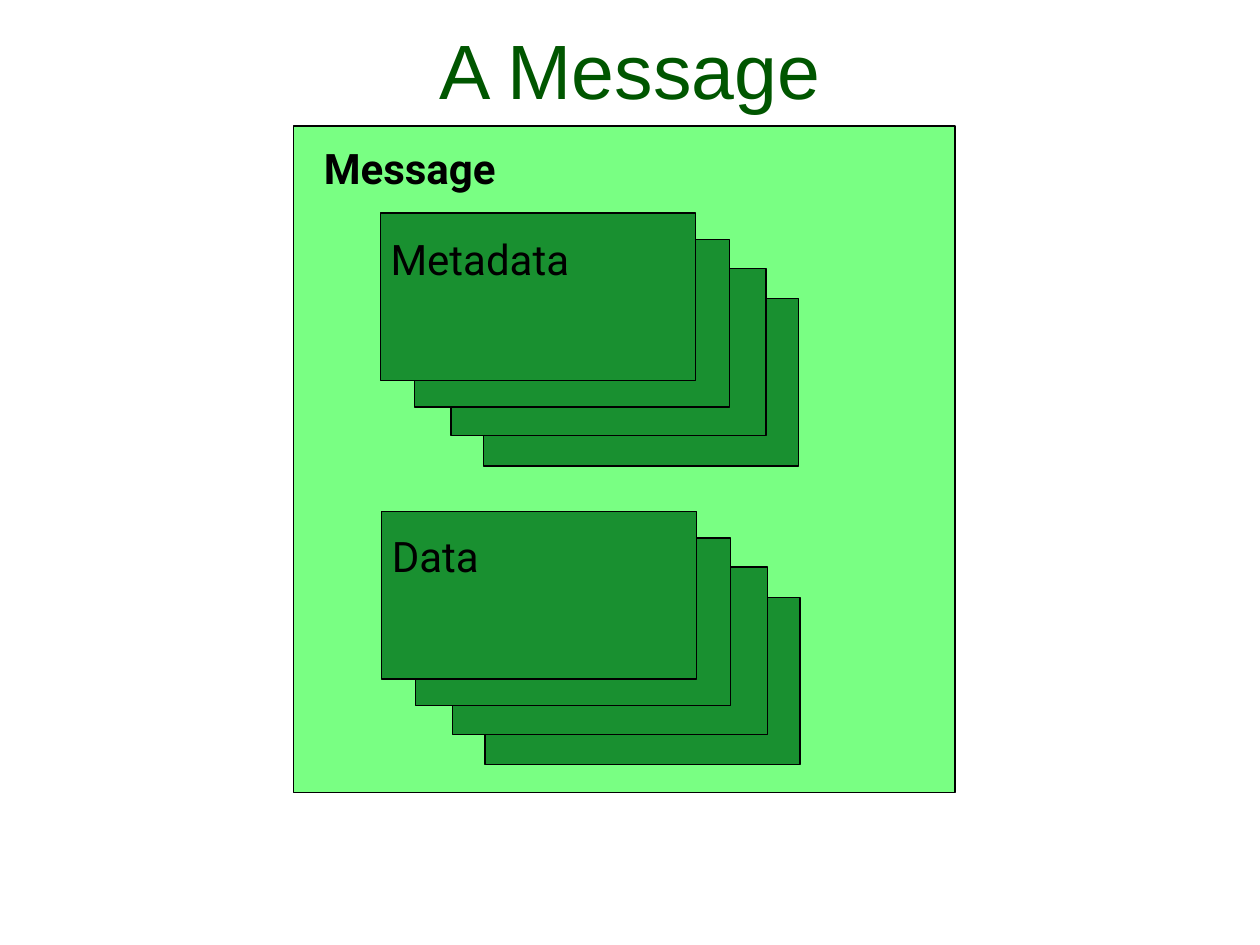
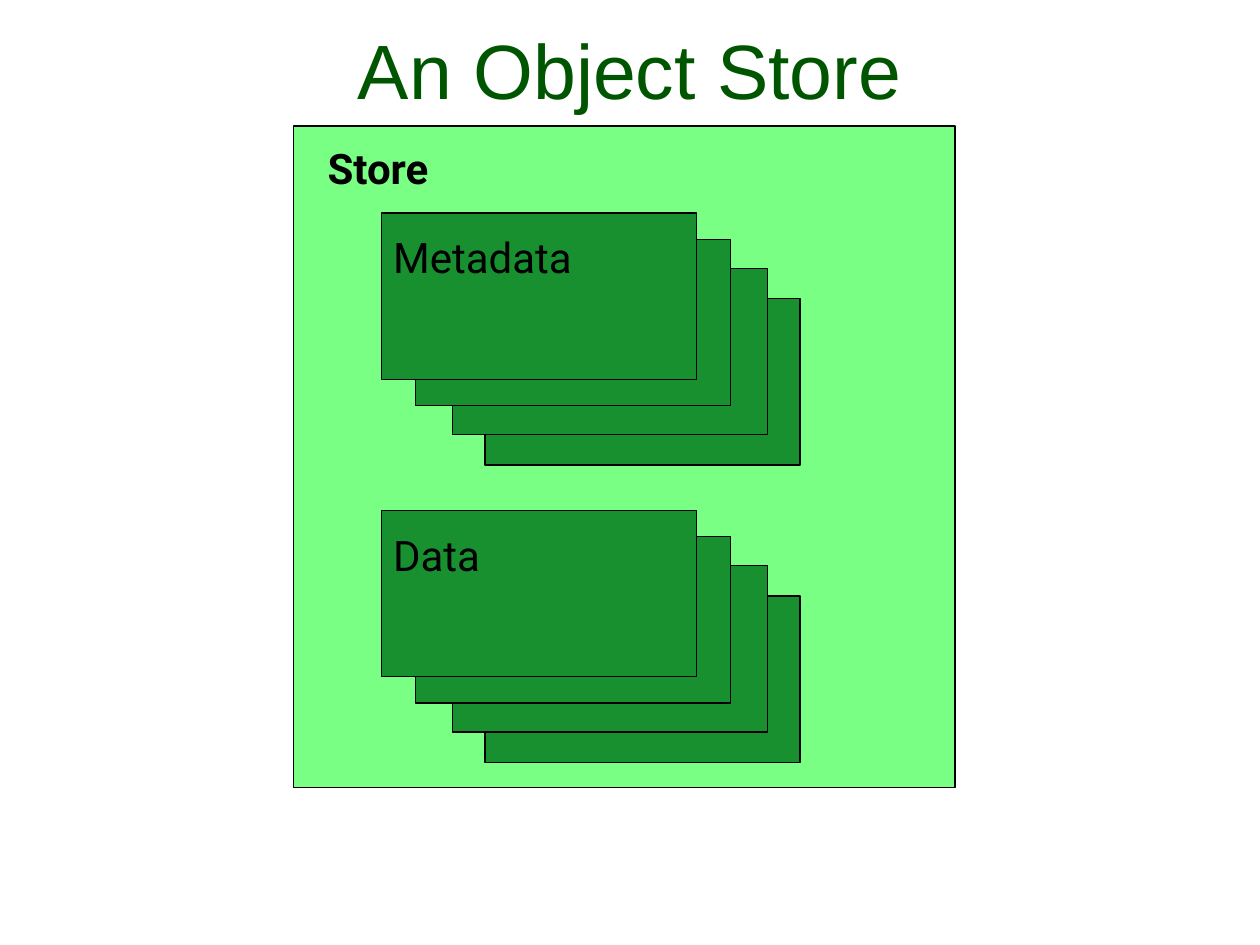
from dataclasses import dataclass

from pptx import Presentation
from pptx.dml.color import RGBColor
from pptx.enum.shapes import MSO_SHAPE as Shape
from pptx.enum.text import MSO_ANCHOR as Anchor, MSO_AUTO_SIZE as AutoSize, PP_ALIGN as Align
from pptx.shapes.autoshape import Shape as AutoShape
from pptx.shapes.shapetree import GroupShapes, SlideShapes
from pptx.util import Emu, Pt

PX = 9144  # 100 px to the inch


@dataclass(frozen=True)
class Theme:
    title_color: str = "005600"
    panel_fill: str = "79FF83"
    card_fill: str = "199030"
    ink: str = "000000"
    title_font: str = "Arial"
    label_font: str = "Roboto"
    title_size: int = 44
    label_size: int = 24
    line_width: float = 0.75
    label_spacing: float = 1.05


@dataclass(frozen=True)
class Label:
    text: str
    left: int
    top: int
    width: int
    fill: str
    bold: bool = False


@dataclass(frozen=True)
class Stack:
    """Overlapping cards; left and top place the front one."""
    left: int
    top: int
    card_height: int
    label: Label


@dataclass(frozen=True)
class Diagram:
    title: str
    panel_height: int
    heading: Label
    stacks: tuple[Stack, ...]


THEME = Theme()
PAGE_WIDTH, PAGE_HEIGHT = 1000, 750
TITLE_BOX = (0, -8, PAGE_WIDTH, 125)
PANEL_LEFT, PANEL_TOP, PANEL_WIDTH = 233, 100, 525
HEADING_TOP = 111
CARD_WIDTH = 250
LABEL_HEIGHT = 42
CARD_SHIFTS = ((0, 0), (27, 21), (56, 44), (82, 68))  # front to back


def panel_heading(text: str, left: int, width: int) -> Label:
    return Label(text, left, HEADING_TOP, width, THEME.panel_fill, bold=True)


def card_label(text: str, left: int, top: int, width: int) -> Label:
    return Label(text, left, top, width, THEME.card_fill)


DIAGRAMS = (
    Diagram(
        "A Message", 529, panel_heading("Message", 257, 145),
        (Stack(302, 169, 133, card_label("Metadata", 310, 183, 150)),
         Stack(303, 406, 133, card_label("Data", 311, 419, 74))),
    ),
    Diagram(
        "An Object Store", 525, panel_heading("Store", 260, 88),
        (Stack(303, 169, 132, card_label("Metadata", 312, 182, 150)),
         Stack(303, 405, 132, card_label("Data", 312, 418, 74))),
    ),
)


def to_emu(*lengths: int) -> list[Emu]:
    return [Emu(length * PX) for length in lengths]


def add_text(shapes: SlideShapes | GroupShapes, text: str, left: int, top: int,
             width: int, height: int, *, font: str, size: int, color: str,
             bold: bool = False, align: Align = Align.LEFT,
             anchor: Anchor = Anchor.TOP, wrap: bool = False,
             insets: tuple[int, int] = (0, 0), spacing: float = 1.0,
             fill: str | None = None) -> AutoShape:
    box = shapes.add_textbox(*to_emu(left, top, width, height))
    if fill:
        box.fill.solid()
        box.fill.fore_color.rgb = RGBColor.from_string(fill)
    frame = box.text_frame
    frame.word_wrap = wrap
    frame.auto_size = AutoSize.NONE if wrap else AutoSize.SHAPE_TO_FIT_TEXT
    frame.vertical_anchor = anchor
    frame.margin_left = frame.margin_right = Emu(insets[0] * PX)
    frame.margin_top = frame.margin_bottom = Emu(insets[1] * PX)
    para = frame.paragraphs[0]
    para.alignment = align
    para.line_spacing = spacing
    span = para.add_run()
    span.text = text
    span.font.name = font
    span.font.size = Pt(size)
    span.font.bold = bold
    span.font.color.rgb = RGBColor.from_string(color)
    return box


def add_label(shapes: SlideShapes | GroupShapes, label: Label) -> None:
    add_text(shapes, label.text, label.left, label.top, label.width, LABEL_HEIGHT,
             font=THEME.label_font, size=THEME.label_size, color=THEME.ink,
             bold=label.bold, spacing=THEME.label_spacing, fill=label.fill)


def add_outlined_box(shapes: SlideShapes | GroupShapes, left: int, top: int,
                     width: int, height: int, fill: str) -> None:
    box = shapes.add_shape(Shape.RECTANGLE, *to_emu(left, top, width, height))
    box.shadow.inherit = False
    box.fill.solid()
    box.fill.fore_color.rgb = RGBColor.from_string(fill)
    box.line.color.rgb = RGBColor.from_string(THEME.ink)
    box.line.width = Pt(THEME.line_width)


def add_stack(shapes: SlideShapes, stack: Stack) -> None:
    """Draw the cards from back to front, grouping the front one with its label."""
    front, *behind = CARD_SHIFTS

    def add_card(target: SlideShapes | GroupShapes, shift: tuple[int, int]) -> None:
        add_outlined_box(target, stack.left + shift[0], stack.top + shift[1],
                         CARD_WIDTH, stack.card_height, THEME.card_fill)

    for shift in reversed(behind):
        add_card(shapes, shift)
    labelled_card = shapes.add_group_shape().shapes
    add_card(labelled_card, front)
    add_label(labelled_card, stack.label)


def add_diagram(shapes: SlideShapes, diagram: Diagram) -> None:
    add_text(shapes, diagram.title, *TITLE_BOX, font=THEME.title_font,
             size=THEME.title_size, color=THEME.title_color, align=Align.CENTER,
             anchor=Anchor.MIDDLE, wrap=True, insets=(10, 5))
    add_outlined_box(shapes, PANEL_LEFT, PANEL_TOP, PANEL_WIDTH,
                     diagram.panel_height, THEME.panel_fill)
    add_label(shapes, diagram.heading)
    for stack in diagram.stacks:
        add_stack(shapes, stack)


def main() -> None:
    deck = Presentation()
    deck.slide_width, deck.slide_height = to_emu(PAGE_WIDTH, PAGE_HEIGHT)
    blank_layout = deck.slide_layouts[6]
    for diagram in DIAGRAMS:
        page = deck.slides.add_slide(blank_layout)
        add_diagram(page.shapes, diagram)
    deck.save("out.pptx")


if __name__ == "__main__":
    main()
